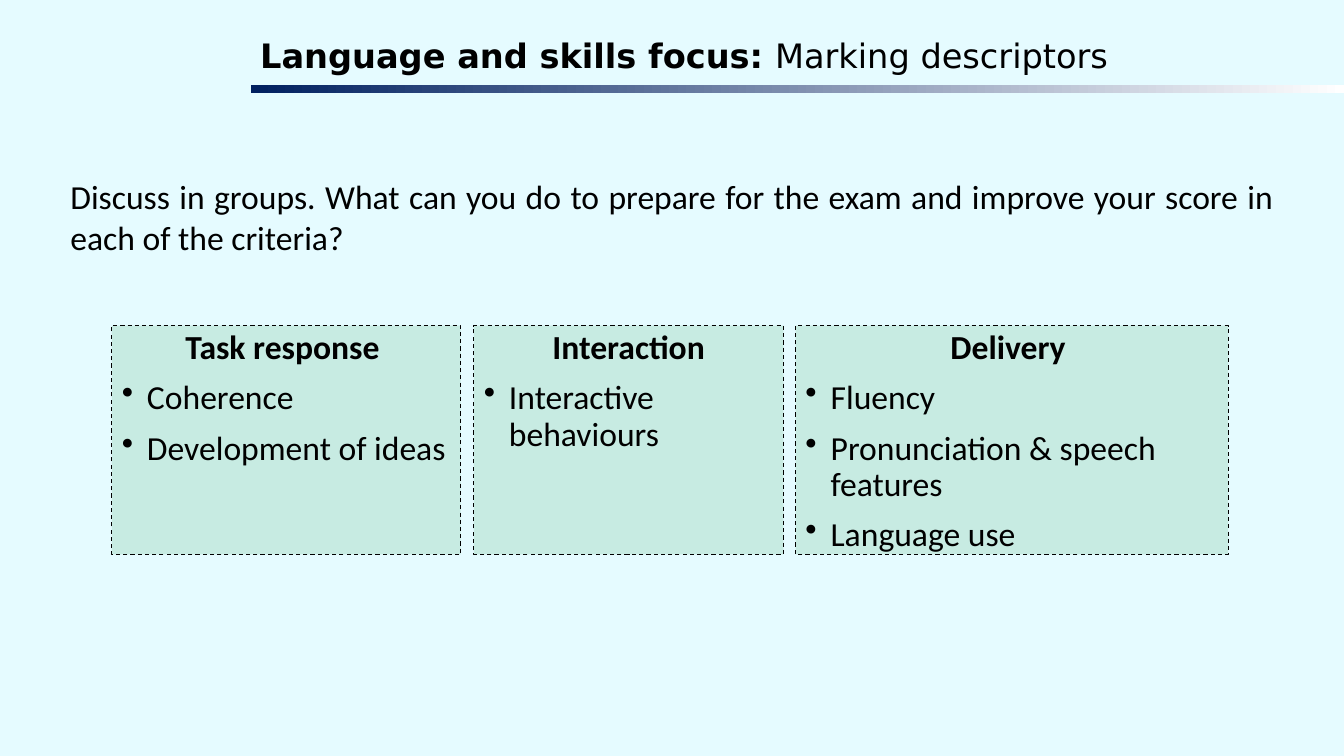
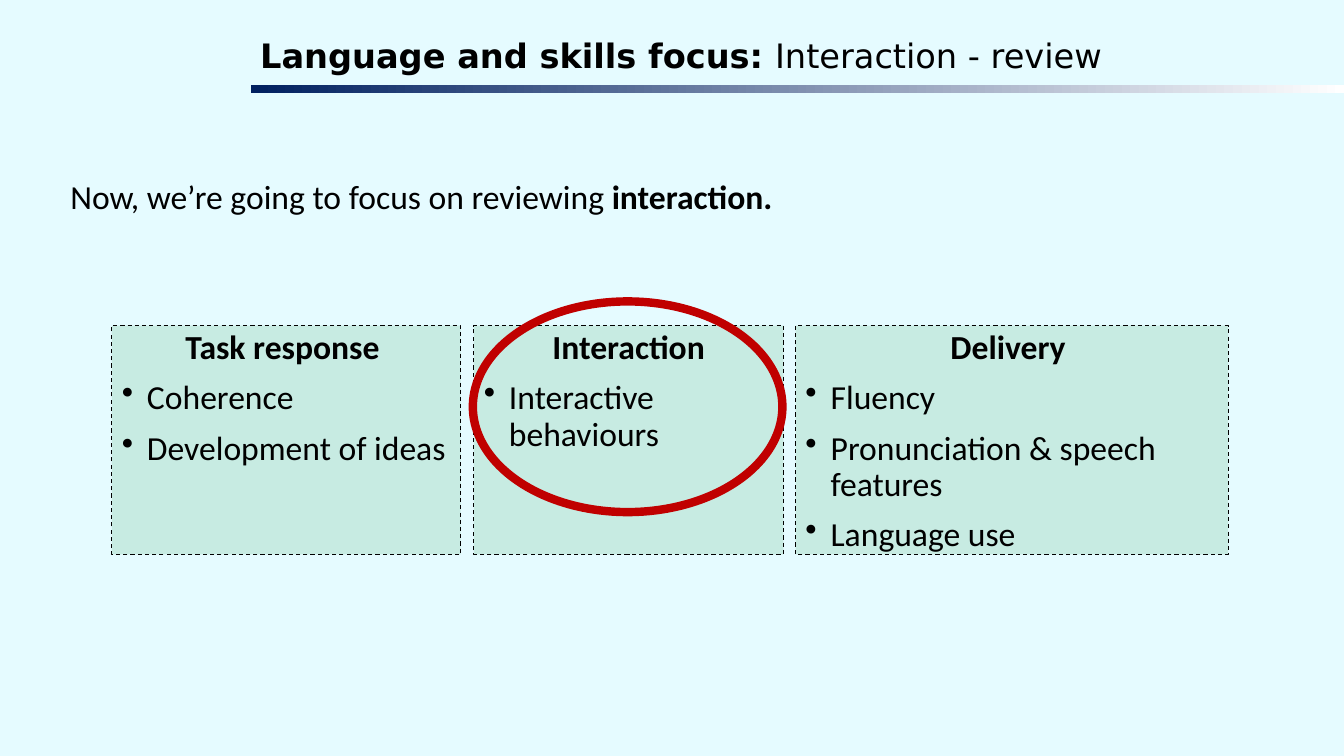
from lxml.etree import SubElement
from pptx import Presentation
from pptx.dml.color import RGBColor as RGB
from pptx.enum.dml import MSO_LINE as Dash
from pptx.enum.shapes import MSO_SHAPE as Shape
from pptx.enum.text import MSO_ANCHOR as Anchor, PP_ALIGN as Align
from pptx.oxml.ns import qn
from pptx.util import Inches, Pt

HUES = {"back": "E5FBFF", "ink": "000000", "navy": "002060",
        "white": "FFFFFF", "mint": "C7EBE2", "red": "C00000"}
HUES = {name: RGB.from_string(hex) for name, hex in HUES.items()}

TOP, HIGH = 3.23, 2.27
CARDS = [
    (1.11, 3.46, "Task response ", ["Coherence", "Development of ideas"]),
    (4.7, 3.07, "Interaction", ["Interactive behaviours"]),
    (7.89, 4.29, "Delivery ", ["Fluency", "Pronunciation & speech features",
                               "Language use"]),
]
SLIDES = [
    ("Marking descriptors", 0.91, False,
     [("Discuss in groups. What can you do to prepare for the exam and "
       "improve your score in each of the criteria?", False)]),
    ("Interaction - review", 0.5, True,
     [("Now, we’re going to focus on reviewing ", False),
      ("interaction. ", True)]),
]


def write(par, runs, face="Calibri", align=Align.LEFT):
    par.alignment = align
    par.font.name = face
    par.font.size = Pt(24)
    par.font.color.rgb = HUES["ink"]
    for text, bold in runs:
        run = par.add_run()
        run.text = text
        run.font.bold = bold


def draw(slide, kind, left, top, width, height):
    shape = slide.shapes.add_shape(
        kind, Inches(left), Inches(top), Inches(width), Inches(height))
    shape.shadow.inherit = False
    return shape


deck = Presentation()
deck.slide_width, deck.slide_height = Inches(13.33), Inches(7.5)

for title, tall, ring, task in SLIDES:
    slide = deck.slides.add_slide(deck.slide_layouts[6])
    slide.background.fill.solid()
    slide.background.fill.fore_color.rgb = HUES["back"]

    box = slide.shapes.add_textbox(
        Inches(0.6), Inches(1.7), Inches(12.13), Inches(tall))
    box.text_frame.word_wrap = True
    write(box.text_frame.paragraphs[0], task, align=Align.JUSTIFY)

    head = slide.shapes.add_textbox(
        Inches(2.54), Inches(0.31), Inches(10.79), Inches(0.53))
    frame = head.text_frame
    frame.word_wrap = True
    frame.margin_left = frame.margin_right = Inches(0.04)
    frame.margin_top = frame.margin_bottom = Inches(0.04)
    write(frame.paragraphs[0],
          [("Language and skills focus: ", True), (title, False)],
          "DejaVu Sans")

    band = draw(slide, Shape.RECTANGLE, 2.49, 0.84, 10.84, 0.08)
    band.line.fill.background()
    band.fill.gradient()
    band.fill.gradient_angle = 0
    for stop, hue in zip(band.fill.gradient_stops, ("navy", "white")):
        stop.color.rgb = HUES[hue]

    for left, width, name, items in CARDS:
        card = draw(slide, Shape.RECTANGLE, left, TOP, width, HIGH)
        card.fill.solid()
        card.fill.fore_color.rgb = HUES["mint"]
        card.line.color.rgb = HUES["ink"]
        card.line.width = Pt(0.75)
        card.line.dash_style = Dash.DASH
        frame = card.text_frame
        frame.word_wrap = True
        frame.vertical_anchor = Anchor.TOP
        par = frame.paragraphs[0]
        par.line_spacing = 0.9
        write(par, [(name, True)], align=Align.CENTER)
        for item in items:
            par = frame.add_paragraph()
            par.line_spacing = 0.9
            par.space_before = Pt(10)
            props = par._p.get_or_add_pPr()
            props.set("marL", str(Inches(0.25)))
            props.set("indent", str(Inches(-0.25)))
            SubElement(props, qn("a:buChar"), char="•")
            write(par, [(item, False)])

    if ring:
        oval = draw(slide, Shape.OVAL, 4.69, 2.99, 3.07, 2.09)
        oval.fill.background()
        oval.line.color.rgb = HUES["red"]
        oval.line.width = Pt(6)

deck.save("out.pptx")
